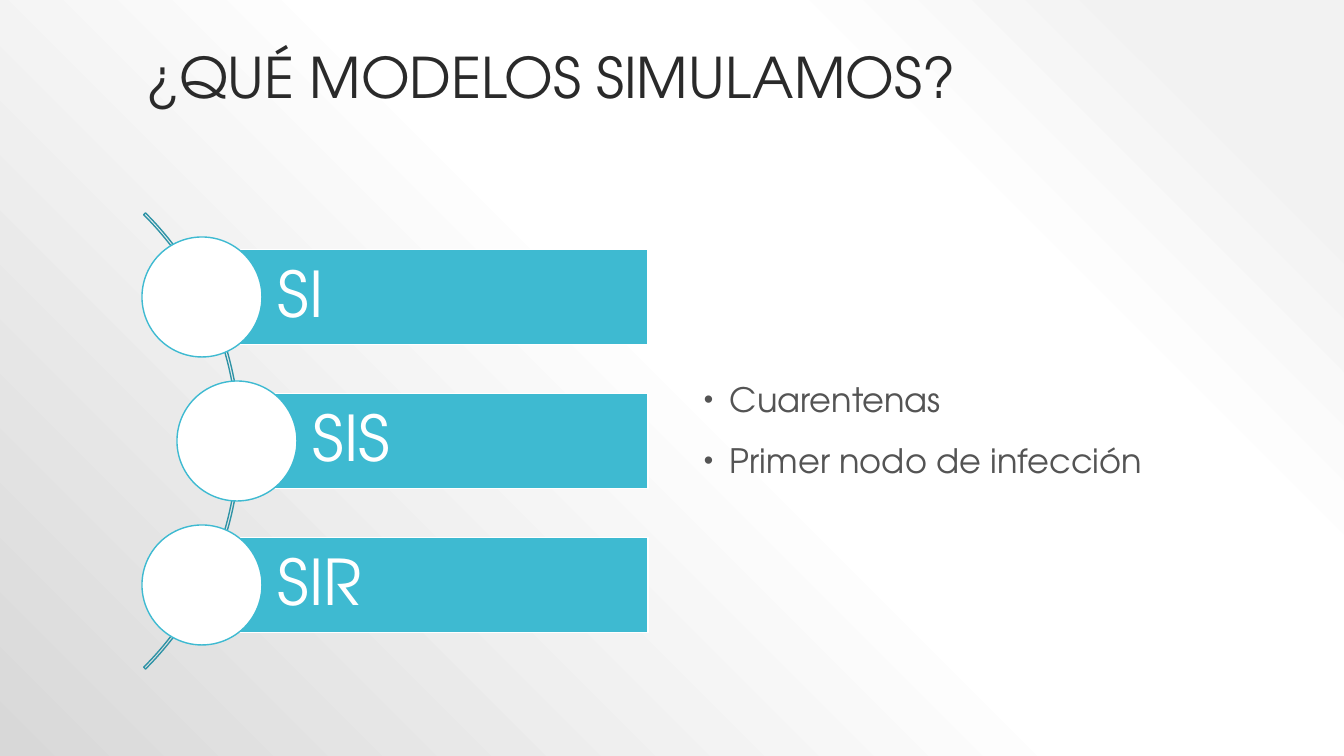
import dataclasses

import lxml.etree
import pptx
import pptx.dml.color
import pptx.enum.shapes
import pptx.enum.text
import pptx.oxml
import pptx.oxml.ns
import pptx.util

SHAPE = pptx.enum.shapes.MSO_SHAPE
ANCHOR = pptx.enum.text.MSO_ANCHOR
qn = pptx.oxml.ns.qn


@dataclasses.dataclass(frozen=True)
class Theme:
    font: str = "TeX Gyre Adventor"
    title: str = "2A2A2A"
    body: str = "545454"
    accent: str = "3EBAD1"
    arc: str = "2F93A6"
    white: str = "FFFFFF"
    title_size: int = 40
    body_size: int = 24
    model_size: int = 45
    backdrop: tuple = ((0, "F2F2F2"), (10, "F2F2F2"), (28, "FFFFFF"),
                       (48, "FFFFFF"), (100, "D8D8D8"))


THEME = Theme()
EMU_PER_PX = 914400 / 100.8


def px(n):
    return pptx.util.Emu(round(n * EMU_PER_PX))


def rgb(color):
    return pptx.dml.color.RGBColor.from_string(color)


def set_frame(tf, anchor, insets=(10, 5, 10, 5)):
    tf.word_wrap = True
    tf.auto_size = pptx.enum.text.MSO_AUTO_SIZE.NONE
    tf.vertical_anchor = anchor
    tf.margin_left, tf.margin_top, tf.margin_right, tf.margin_bottom = map(px, insets)


def set_paragraph(p, text, size, color):
    p.text = text
    p.alignment = pptx.enum.text.PP_ALIGN.LEFT
    p.line_spacing = 0.9
    for r in p.runs:
        r.font.name = THEME.font
        r.font.size = pptx.util.Pt(size)
        r.font.color.rgb = rgb(color)


def add_shape(s, kind, box, line, fill=None):
    sp = s.shapes.add_shape(kind, *map(px, box))
    sp.shadow.inherit = False
    sp.line.color.rgb = rgb(line)
    sp.line.width = pptx.util.Pt(1)
    if fill:
        sp.fill.solid()
        sp.fill.fore_color.rgb = rgb(fill)
    else:
        sp.fill.background()
    return sp


# Radial gradient centred on the top right corner
def set_background(s):
    stops = "".join(f'<a:gs pos="{pos * 1000}"><a:srgbClr val="{color}"/></a:gs>'
                    for pos, color in THEME.backdrop)
    grad = pptx.oxml.parse_xml(
        f'<a:gradFill {pptx.oxml.ns.nsdecls("a")} rotWithShape="1">'
        f'<a:gsLst>{stops}</a:gsLst><a:path path="circle">'
        '<a:fillToRect l="100000" b="100000"/></a:path></a:gradFill>')
    s.background.fill.solid()
    solid = s._element.find(".//" + qn("p:bgPr") + "/" + qn("a:solidFill"))
    solid.getparent().replace(solid, grad)


def place_title(s, box, text):
    sp = s.shapes.title
    sp.left, sp.top, sp.width, sp.height = map(px, box)
    set_frame(sp.text_frame, ANCHOR.BOTTOM)
    set_paragraph(sp.text_frame.paragraphs[0], text, THEME.title_size, THEME.title)


# Bars with circles strung along an arc
def add_models(s, box, names):
    left, top, width, height = box
    middle = top + height / 2
    circle, bar, pitch, shift, arc = 120, 95, 144, 35, 645

    sp = add_shape(s, SHAPE.BLOCK_ARC, (left - 547, middle - arc / 2, arc, arc), THEME.arc)
    for i, value in enumerate((189, 27, 0.004)):
        sp.adjustments[i] = value

    centre_row = (len(names) - 1) / 2
    for i, name in enumerate(names):
        x = left + shift * (i == centre_row)
        y = middle + (i - centre_row) * pitch
        bar_left = x + circle / 2
        sp = add_shape(s, SHAPE.RECTANGLE,
                       (bar_left, y - bar / 2, left + width - bar_left, bar),
                       THEME.white, THEME.accent)
        set_frame(sp.text_frame, ANCHOR.MIDDLE, (76, 12, 12, 12))
        set_paragraph(sp.text_frame.paragraphs[0], name, THEME.model_size, THEME.white)
        add_shape(s, SHAPE.OVAL, (x, y - circle / 2, circle, circle),
                  THEME.accent, THEME.white)


def add_bullets(s, box, items):
    tf = s.shapes.add_textbox(*map(px, box)).text_frame
    set_frame(tf, ANCHOR.TOP)
    for i, item in enumerate(items):
        p = tf.add_paragraph() if i else tf.paragraphs[0]
        set_paragraph(p, item, THEME.body_size, THEME.body)
        if i:
            p.space_before = pptx.util.Pt(18)
        pPr = p._p.get_or_add_pPr()
        pPr.set("marL", str(px(30)))
        pPr.set("indent", str(px(-26)))
        color = lxml.etree.SubElement(pPr, qn("a:buClr"))
        lxml.etree.SubElement(color, qn("a:srgbClr"), val=THEME.body)
        lxml.etree.SubElement(pPr, qn("a:buSzPct"), val="80000")
        lxml.etree.SubElement(pPr, qn("a:buFont"), typeface="Arial")
        lxml.etree.SubElement(pPr, qn("a:buChar"), char="•")


def main():
    prs = pptx.Presentation()
    prs.slide_width, prs.slide_height = px(1344), px(756)
    s = prs.slides.add_slide(prs.slide_layouts[5])
    set_background(s)
    place_title(s, (136, 30, 1076, 86), "¿QUÉ MODELOS SIMULAMOS?")
    add_bullets(s, (690, 378, 519, 302), ("Cuarentenas", "Primer nodo de infección"))
    add_models(s, (142, 213, 506, 456), ("SI", "SIS", "SIR"))
    prs.save("out.pptx")


if __name__ == "__main__":
    main()
